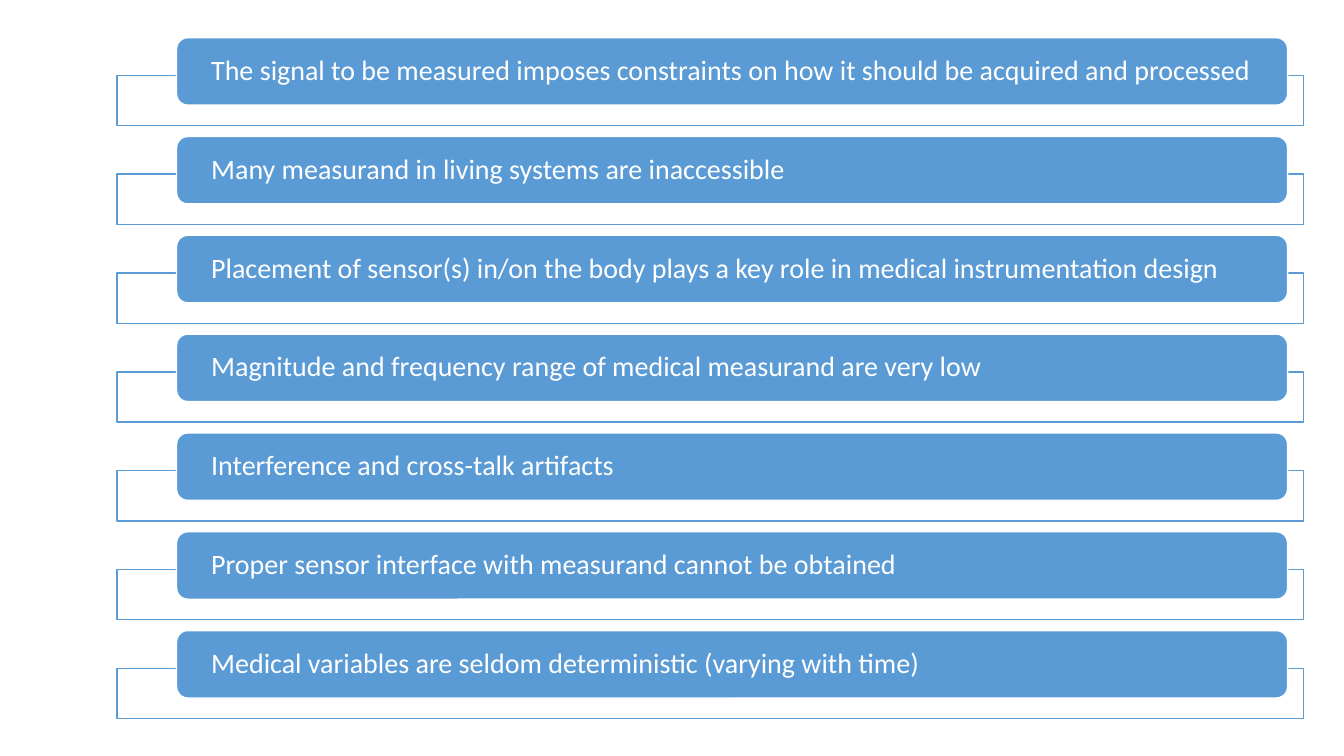
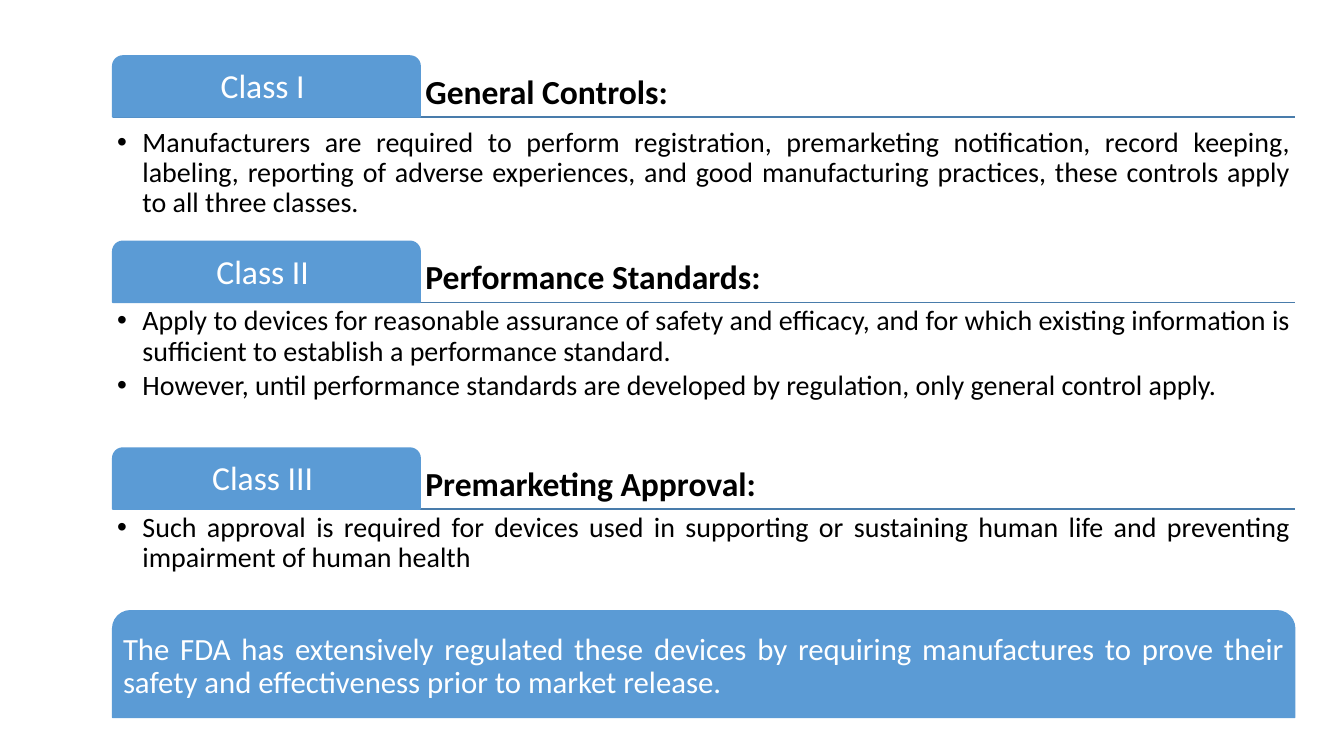
from lxml import etree
from pptx import Presentation
from pptx.dml.color import RGBColor
from pptx.enum.shapes import MSO_CONNECTOR, MSO_SHAPE
from pptx.enum.text import MSO_ANCHOR, PP_ALIGN
from pptx.oxml.ns import qn
from pptx.util import Cm, Pt

RECT = MSO_SHAPE.RECTANGLE
ROUND = MSO_SHAPE.ROUNDED_RECTANGLE
TAB = MSO_SHAPE.ROUND_2_SAME_RECTANGLE
LINE = MSO_CONNECTOR.STRAIGHT
TOP, MIDDLE, BOTTOM = MSO_ANCHOR.TOP, MSO_ANCHOR.MIDDLE, MSO_ANCHOR.BOTTOM
LEFT, CENTER, JUSTIFY = PP_ALIGN.LEFT, PP_ALIGN.CENTER, PP_ALIGN.JUSTIFY

FONT = "Calibri"
COLORS = {"blue": "5B9BD5", "rule": "497CAB", "white": "FFFFFF", "black": "000000"}

POINTS = [
    "The signal to be measured imposes constraints on how it should be acquired and processed",
    "Many measurand in living systems are inaccessible",
    "Placement of sensor(s) in/on the body plays a key role in medical instrumentation design",
    "Magnitude and frequency range of medical measurand are very low",
    "Interference and cross-talk artifacts",
    "Proper sensor interface with measurand cannot be obtained",
    "Medical variables are seldom deterministic (varying with time)",
]

CLASSES = [
    (1.41, 0.17, 3.07, "Class I ", "General Controls:", [
        "Manufacturers are required to perform registration, premarketing notification, "
        "record keeping, labeling, reporting of adverse experiences, and good manufacturing "
        "practices, these controls apply to all three classes."]),
    (6.08, 0, 3.6, "Class II ", "Performance Standards:", [
        "Apply to devices for reasonable assurance of safety and efficacy, and for which "
        "existing information is sufficient to establish a performance standard.",
        "However, until performance standards are developed by regulation, "
        "only general control apply."]),
    (11.29, 0, 2.49, "Class III ", "Premarketing Approval:", [
        "Such approval is required for devices used in supporting or sustaining human life "
        "and preventing impairment of human health"]),
]

CLOSING = ("The FDA has extensively regulated these devices by requiring manufactures to "
           "prove their safety and effectiveness prior to market release.")


def color(name):
    return RGBColor.from_string(COLORS[name])


def add_bullet(para):
    props = para._p.get_or_add_pPr()
    props.set("marL", str(Cm(0.64)))
    props.set("indent", str(-Cm(0.64)))
    etree.SubElement(props, qn("a:buFont")).set("typeface", "Arial")
    etree.SubElement(props, qn("a:buChar")).set("char", "•")


def set_text(shape, lines, size, ink, align, anchor, pads, bold=False, bullet=False):
    frame = shape.text_frame
    frame.word_wrap = True
    frame.vertical_anchor = anchor
    (frame.margin_left, frame.margin_top,
     frame.margin_right, frame.margin_bottom) = [Cm(pad) for pad in pads]
    frame.text = "\n".join(lines)
    for para in frame.paragraphs:
        para.alignment = align
        para.line_spacing = 0.9
        if bullet:
            para.space_after = Pt(3)
            add_bullet(para)
        for run in para.runs:
            run.font.name = FONT
            run.font.size = Pt(size)
            run.font.bold = bold
            run.font.color.rgb = color(ink)


def add_box(slide, kind, area, fill, edge):
    box = slide.shapes.add_shape(kind, *[Cm(part) for part in area])
    box.shadow.inherit = False
    box.fill.solid()
    box.fill.fore_color.rgb = color(fill)
    box.line.color.rgb = color(edge)
    box.line.width = Pt(1)
    return box


def add_label(slide, area, *style, **extra):
    label = slide.shapes.add_textbox(*[Cm(part) for part in area])
    set_text(label, *style, **extra)


def add_rule(slide, left, right, top):
    rule = slide.shapes.add_connector(LINE, Cm(left), Cm(top), Cm(right), Cm(top))
    rule.line.color.rgb = color("rule")
    rule.line.width = Pt(1)
    etree.SubElement(rule._element.spPr, qn("a:effectLst"))


def add_points(slide):
    pitch = 2.49
    for row, point in enumerate(POINTS):
        top = 0.95 + row * pitch
        add_box(slide, RECT, (2.95, top + 0.95, 29.9, 1.27), "white", "blue")
        bar = add_box(slide, ROUND, (4.45, top, 28, 1.7), "blue", "white")
        set_text(bar, [point], 20, "white", JUSTIFY, MIDDLE, (0.79, 0, 0.5, 0))


def add_classes(slide):
    left, width, tab, high = 2.84, 29.79, 7.75, 1.54
    pads = [0.13] * 4
    for top, gap, depth, name, head, lines in CLASSES:
        base = top + high
        add_rule(slide, left, left + width, base)
        add_label(slide, (left + tab, top, width - tab, high), [head], 24, "black",
                  LEFT, BOTTOM, pads, bold=True)
        box = add_box(slide, TAB, (left, top, tab, high), "blue", "blue")
        set_text(box, [name], 24, "white", CENTER, MIDDLE, pads)
        add_label(slide, (left, base + gap, width, depth), lines, 20, "black",
                  JUSTIFY, TOP, [0.11] * 4, bullet=True)
    band = add_box(slide, TAB, (left, 15.39, width, 2.69), "blue", "blue")
    set_text(band, [CLOSING], 22, "white", JUSTIFY, MIDDLE, pads)


def main():
    deck = Presentation()
    deck.slide_width, deck.slide_height = Cm(33.87), Cm(19.05)
    blank = deck.slide_layouts[6]
    for build in (add_points, add_classes):
        build(deck.slides.add_slide(blank))
    deck.save("out.pptx")


if __name__ == "__main__":
    main()
